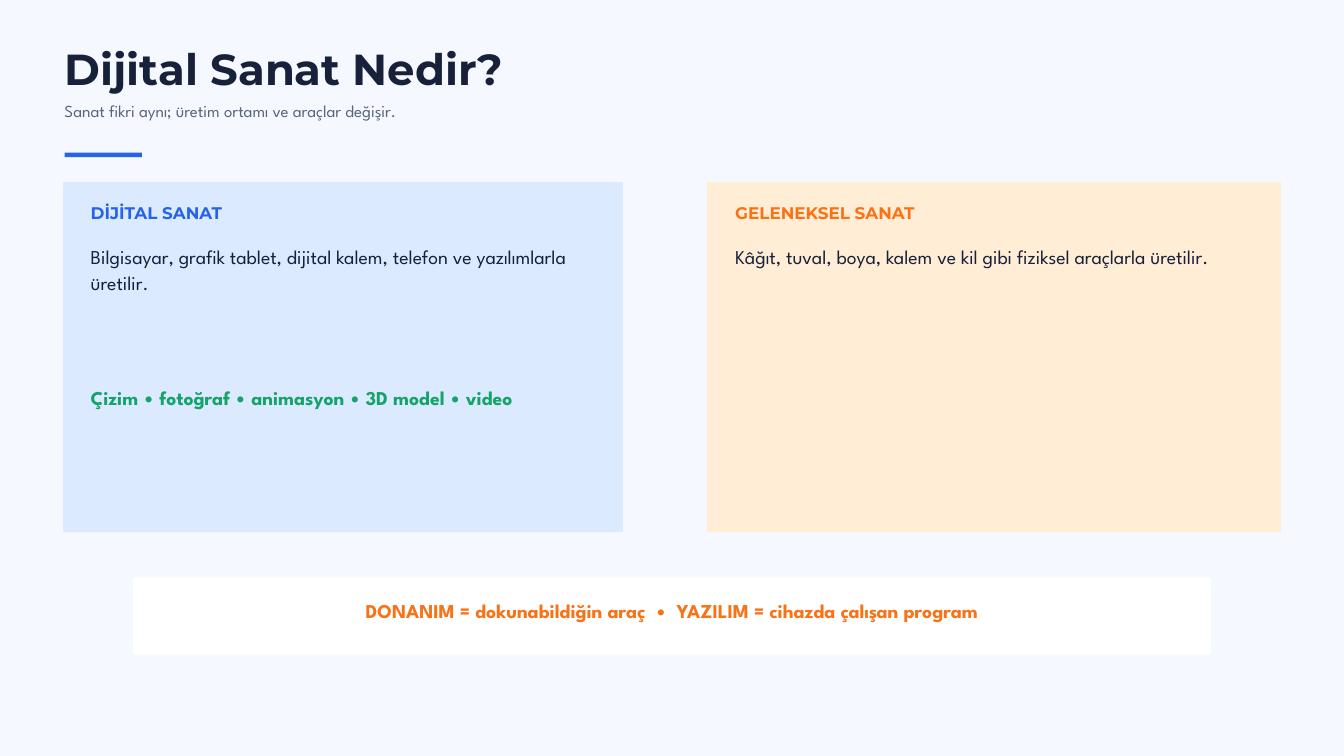
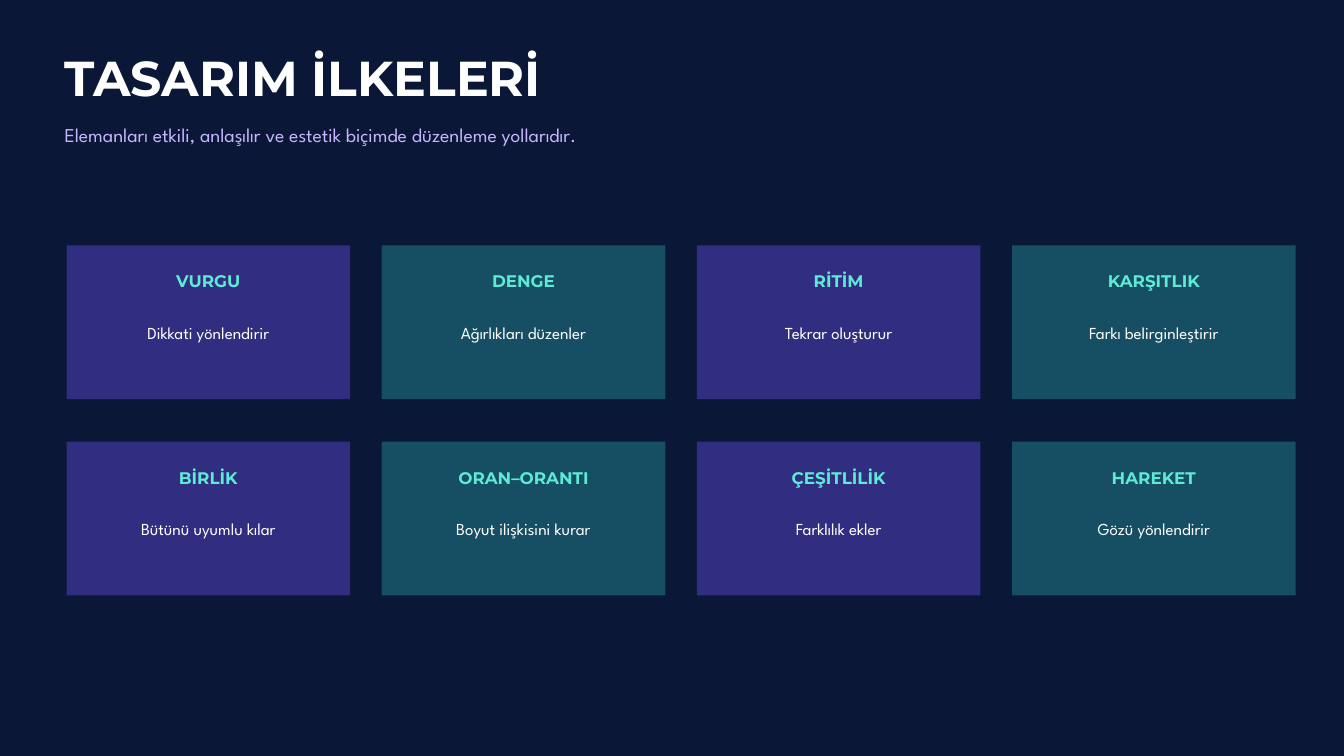
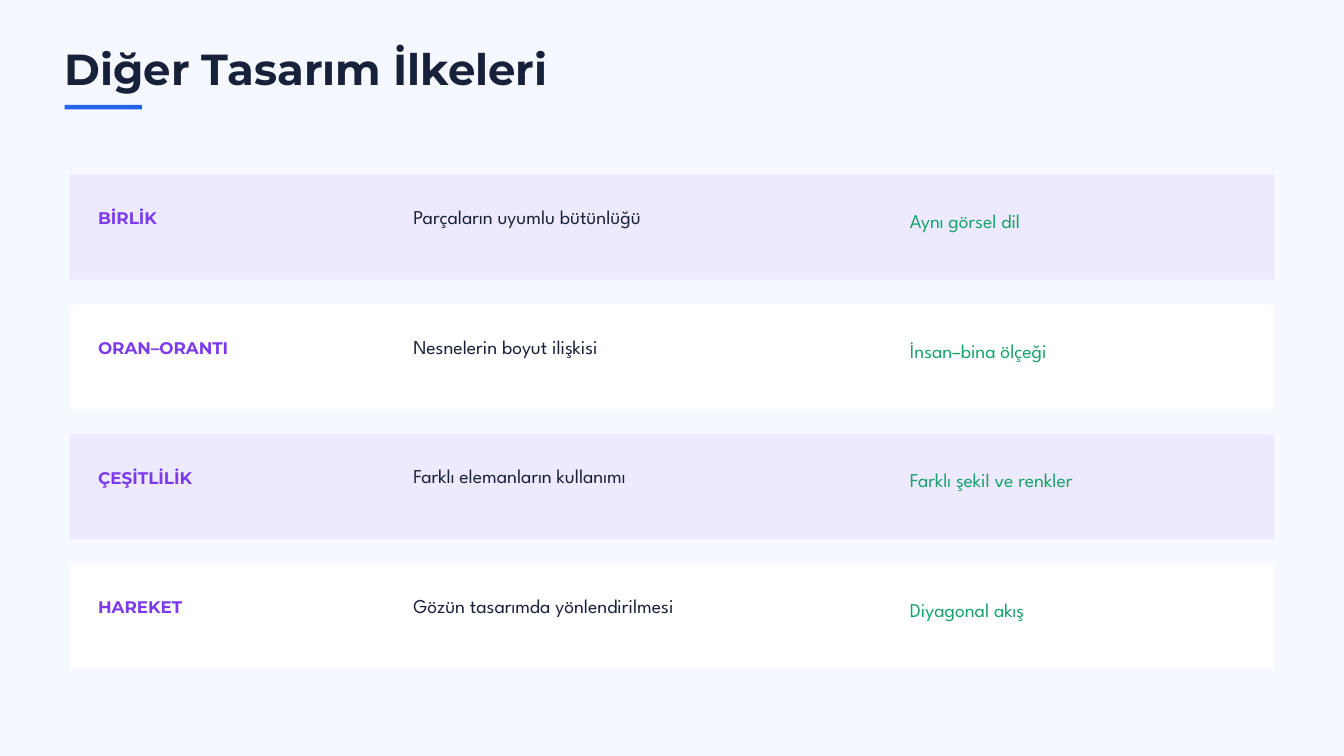
from pptx import Presentation
from pptx.dml.color import RGBColor
from pptx.enum.shapes import MSO_SHAPE as Shape
from pptx.enum.text import MSO_AUTO_SIZE as AutoSize, PP_ALIGN as Align
from pptx.util import Inches, Pt

WIDTH, HEIGHT = 20, 11.25
MARGIN = 0.96
LIGHT, NIGHT, WHITE = "F5F8FF", "0B1736", "FFFFFF"
INK, SLATE, BLUE, ORANGE, GREEN = "17213A", "58657D", "2563EB", "F97316", "16A36A"
PURPLE, LILAC, MINT = "7C3AED", "C4B5FD", "5EEAD4"

STYLES = {
    "cover": (54.6, {"name": "Montserrat", "size": Pt(52.5), "bold": True}),
    "title": (48.8, {"name": "Montserrat", "size": Pt(46.5), "bold": True}),
    "label": (19.8, {"name": "Montserrat", "size": Pt(18), "bold": True}),
    "small": (22.5, {"name": "League Spartan", "size": Pt(18), "bold": False}),
    "body": (27.3, {"name": "League Spartan", "size": Pt(21), "bold": False}),
    "strong": (27.3, {"name": "League Spartan", "size": Pt(21), "bold": True}),
}


def add_panel(slide, left, top, width, height, color):
    shape = slide.shapes.add_shape(
        Shape.RECTANGLE, Inches(left), Inches(top), Inches(width), Inches(height))
    shape.shadow.inherit = False
    shape.fill.solid()
    shape.fill.fore_color.rgb = RGBColor.from_string(color)
    shape.line.fill.background()


def add_text(slide, text, left, top, width, style, color, align=Align.LEFT, lines=1):
    spacing, font_values = STYLES[style]
    box = slide.shapes.add_textbox(
        Inches(left), Inches(top), Inches(width), Pt(spacing * lines))
    frame = box.text_frame
    frame_values = {"word_wrap": True, "auto_size": AutoSize.SHAPE_TO_FIT_TEXT,
                    "margin_left": 0, "margin_right": 0,
                    "margin_top": 0, "margin_bottom": 0}
    for key, value in frame_values.items():
        setattr(frame, key, value)
    paragraph = frame.paragraphs[0]
    paragraph.alignment = align
    paragraph.line_spacing = Pt(spacing)
    run = paragraph.add_run()
    run.text = text
    for key, value in font_values.items():
        setattr(run.font, key, value)
    run.font.color.rgb = RGBColor.from_string(color)


presentation = Presentation()
presentation.slide_width = Inches(WIDTH)
presentation.slide_height = Inches(HEIGHT)

slides = []
for background in (LIGHT, NIGHT, LIGHT):
    slide = presentation.slides.add_slide(presentation.slide_layouts[6])
    slide.background.fill.solid()
    slide.background.fill.fore_color.rgb = RGBColor.from_string(background)
    slides.append(slide)
definition, principles, more_principles = slides

for slide, title, rule_top in (
    (definition, "Dijital Sanat Nedir?", 2.27),
    (more_principles, "Diğer Tasarım İlkeleri", 1.56),
):
    add_text(slide, title, MARGIN, 0.73, 15.62, "title", INK)
    add_panel(slide, MARGIN, rule_top, 1.15, 0.07, BLUE)

add_text(definition, "Sanat fikri aynı; üretim ortamı ve araçlar değişir.",
         MARGIN, 1.48, 16.04, "small", SLATE)
for left, width, text_left, fill, accent, heading, body in (
    (0.94, 8.33, 1.35, "DBEAFE", BLUE, "DİJİTAL SANAT",
     "Bilgisayar, grafik tablet, dijital kalem, telefon ve yazılımlarla üretilir."),
    (10.52, 8.54, 10.94, "FFEDD5", ORANGE, "GELENEKSEL SANAT",
     "Kâğıt, tuval, boya, kalem ve kil gibi fiziksel araçlarla üretilir."),
):
    add_panel(definition, left, 2.71, width, 5.21, fill)
    add_text(definition, heading, text_left, 3.04, 7.29, "label", accent)
    add_text(definition, body, text_left, 3.62, 7.29, "body", INK, lines=2)
add_text(definition, "Çizim • fotoğraf • animasyon • 3D model • video",
         1.35, 5.71, 7.29, "strong", GREEN)
add_panel(definition, 1.98, 8.59, WIDTH - 2 * 1.98, 1.15, WHITE)
add_text(definition, "DONANIM = dokunabildiğin araç  •  YAZILIM = cihazda çalışan program",
         2.4, 8.89, WIDTH - 2 * 2.4, "strong", ORANGE, Align.CENTER)

add_text(principles, "TASARIM İLKELERİ", MARGIN, 0.82, 14.58, "cover", WHITE)
add_text(principles, "Elemanları etkili, anlaşılır ve estetik biçimde düzenleme yollarıdır.",
         MARGIN, 1.8, 14.58, "body", LILAC)
CARDS = (
    ("VURGU", "Dikkati yönlendirir"),
    ("DENGE", "Ağırlıkları düzenler"),
    ("RİTİM", "Tekrar oluşturur"),
    ("KARŞITLIK", "Farkı belirginleştirir"),
    ("BİRLİK", "Bütünü uyumlu kılar"),
    ("ORAN–ORANTI", "Boyut ilişkisini kurar"),
    ("ÇEŞİTLİLİK", "Farklılık ekler"),
    ("HAREKET", "Gözü yönlendirir"),
)
CARD_WIDTH, CARD_HEIGHT, CARD_INSET = 4.22, 2.29, 0.26
for index, (heading, effect) in enumerate(CARDS):
    row, column = divmod(index, 4)
    left, top = 0.99 + 4.69 * column, 3.65 + 2.92 * row
    text_left, text_width = left + CARD_INSET, CARD_WIDTH - 2 * CARD_INSET
    add_panel(principles, left, top, CARD_WIDTH, CARD_HEIGHT, ("312E81", "164E63")[column % 2])
    add_text(principles, heading, text_left, top + 0.41, text_width, "label", MINT, Align.CENTER)
    add_text(principles, effect, text_left, top + 1.14, text_width, "small", WHITE, Align.CENTER)

ROWS = (
    ("BİRLİK", "Parçaların uyumlu bütünlüğü", "Aynı görsel dil"),
    ("ORAN–ORANTI", "Nesnelerin boyut ilişkisi", "İnsan–bina ölçeği"),
    ("ÇEŞİTLİLİK", "Farklı elemanların kullanımı", "Farklı şekil ve renkler"),
    ("HAREKET", "Gözün tasarımda yönlendirilmesi", "Diyagonal akış"),
)
COLUMNS = (
    (1.46, 0.52, 4.27, "label", PURPLE),
    (6.15, 0.42, 6.77, "body", INK),
    (13.54, 0.48, 4.69, "body", GREEN),
)
for row, texts in enumerate(ROWS):
    top = 2.6 + 1.93 * row
    add_panel(more_principles, 1.04, top, WIDTH - 2 * 1.04, 1.56, ("EDE9FE", WHITE)[row % 2])
    for text, (left, offset, width, style, color) in zip(texts, COLUMNS):
        add_text(more_principles, text, left, top + offset, width, style, color)

presentation.save("out.pptx")
